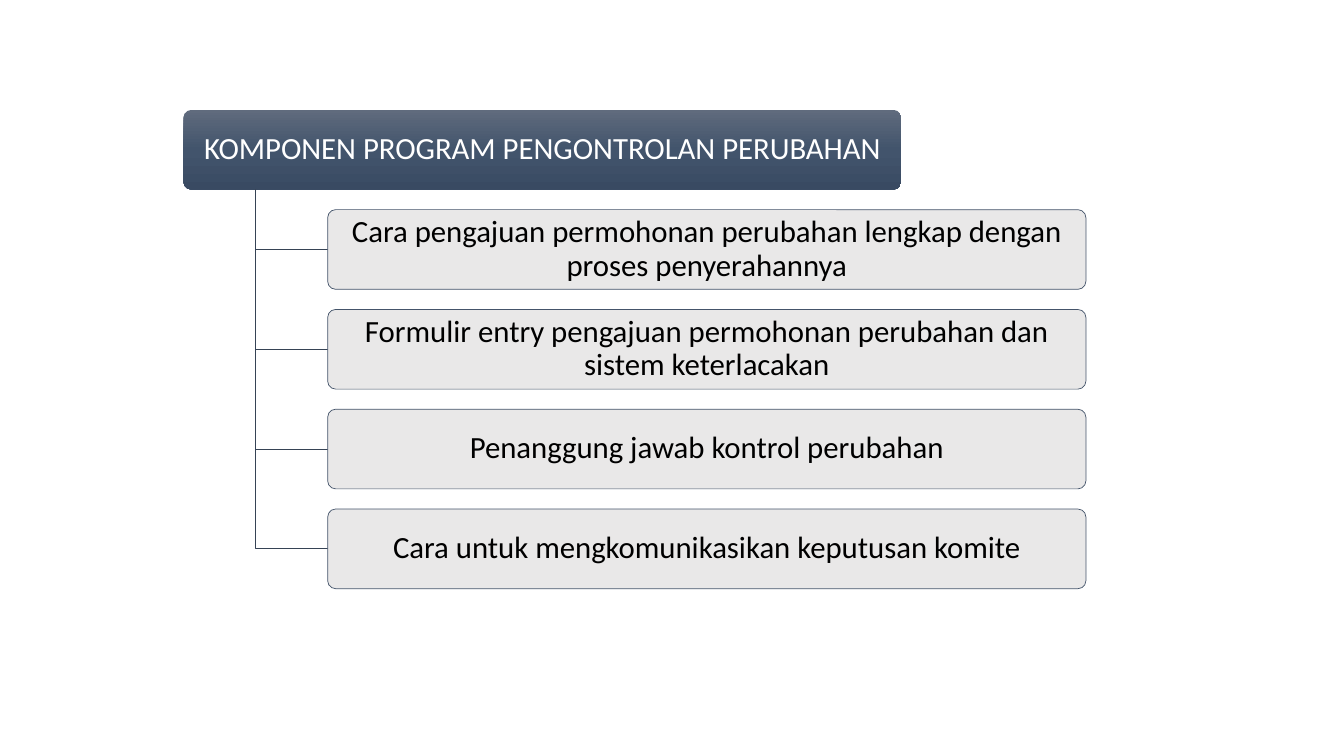
from copy import deepcopy

from lxml.etree import SubElement
from pptx import Presentation
from pptx.dml.color import RGBColor
from pptx.enum.shapes import MSO_SHAPE as Preset
from pptx.enum.text import MSO_ANCHOR as Anchor, PP_ALIGN as Align
from pptx.oxml.ns import qn
from pptx.util import Inches, Pt

TITLE = "KOMPONEN PROGRAM PENGONTROLAN PERUBAHAN"
COMPONENTS = [
    "Cara pengajuan permohonan perubahan lengkap dengan proses penyerahannya",
    "Formulir entry pengajuan permohonan perubahan dan sistem keterlacakan",
    "Penanggung jawab kontrol perubahan",
    "Cara untuk mengkomunikasikan keputusan komite",
]

TITLE_LEFT, TITLE_TOP, TITLE_WIDTH = 1.82, 1.09, 7.12
ITEM_LEFT, ITEM_WIDTH = 3.25, 7.52
BOX_HEIGHT, ROW_STEP = 0.79, 0.99
TRUNK_X = 2.53


def rgb(value):
    return RGBColor.from_string(value)


class Hierarchy:
    font = "Calibri"
    size = 22
    title_stops = [(0, "606B7D"), (0.5, "42546C"), (1, "394A62")]
    item_fill, item_line = "E7E6E6", "44546A"
    branch_color = "364355"
    line_width = 0.5

    def __init__(self, slide):
        self.slide = slide

    def box(self, left, top, width, text, color):
        box = self.slide.shapes.add_shape(
            Preset.ROUNDED_RECTANGLE,
            Inches(left), Inches(top), Inches(width), Inches(BOX_HEIGHT))
        box.adjustments[0] = 0.1
        box.shadow.inherit = False
        frame = box.text_frame
        frame.word_wrap = True
        frame.vertical_anchor = Anchor.MIDDLE
        frame.margin_left = frame.margin_right = Inches(0.07)
        frame.margin_top = frame.margin_bottom = Inches(0.05)
        paragraph = frame.paragraphs[0]
        paragraph.alignment = Align.CENTER
        paragraph.line_spacing = 0.9
        run = paragraph.add_run()
        run.text = text
        run.font.name = self.font
        run.font.size = Pt(self.size)
        run.font.color.rgb = rgb(color)
        return box

    def title(self, text):
        title = self.box(TITLE_LEFT, TITLE_TOP, TITLE_WIDTH, text, "FFFFFF")
        title.line.fill.background()
        title.fill.gradient()
        title.fill.gradient_angle = 270
        stop_list = title.element.spPr.find(".//" + qn("a:gsLst"))
        stop_list.insert(1, deepcopy(stop_list[0]))
        for stop, (position, color) in zip(title.fill.gradient_stops, self.title_stops):
            stop.position = position
            stop.color.rgb = rgb(color)

    def item(self, top, text):
        item = self.box(ITEM_LEFT, top, ITEM_WIDTH, text, "000000")
        item.fill.solid()
        item.fill.fore_color.rgb = rgb(self.item_fill)
        fill_color = item.element.spPr.find(qn("a:solidFill"))[0]
        SubElement(fill_color, qn("a:alpha"), val="90000")
        item.line.color.rgb = rgb(self.item_line)
        item.line.width = Pt(self.line_width)

    def branch(self, start_y, end_y):
        outline = self.slide.shapes.build_freeform(Inches(TRUNK_X), Inches(start_y))
        outline.add_line_segments(
            [(Inches(TRUNK_X), Inches(end_y)), (Inches(ITEM_LEFT), Inches(end_y))],
            close=False)
        branch = outline.convert_to_shape()
        branch.shadow.inherit = False
        branch.fill.background()
        branch.line.color.rgb = rgb(self.branch_color)
        branch.line.width = Pt(self.line_width)


def main():
    deck = Presentation()
    deck.slide_width, deck.slide_height = Inches(13.33), Inches(7.5)
    hierarchy = Hierarchy(deck.slides.add_slide(deck.slide_layouts[6]))

    hierarchy.title(TITLE)
    for row, component in enumerate(COMPONENTS, start=1):
        top = TITLE_TOP + row * ROW_STEP
        hierarchy.branch(TITLE_TOP + BOX_HEIGHT, top + BOX_HEIGHT / 2)
        hierarchy.item(top, component)

    deck.save("out.pptx")


if __name__ == "__main__":
    main()
